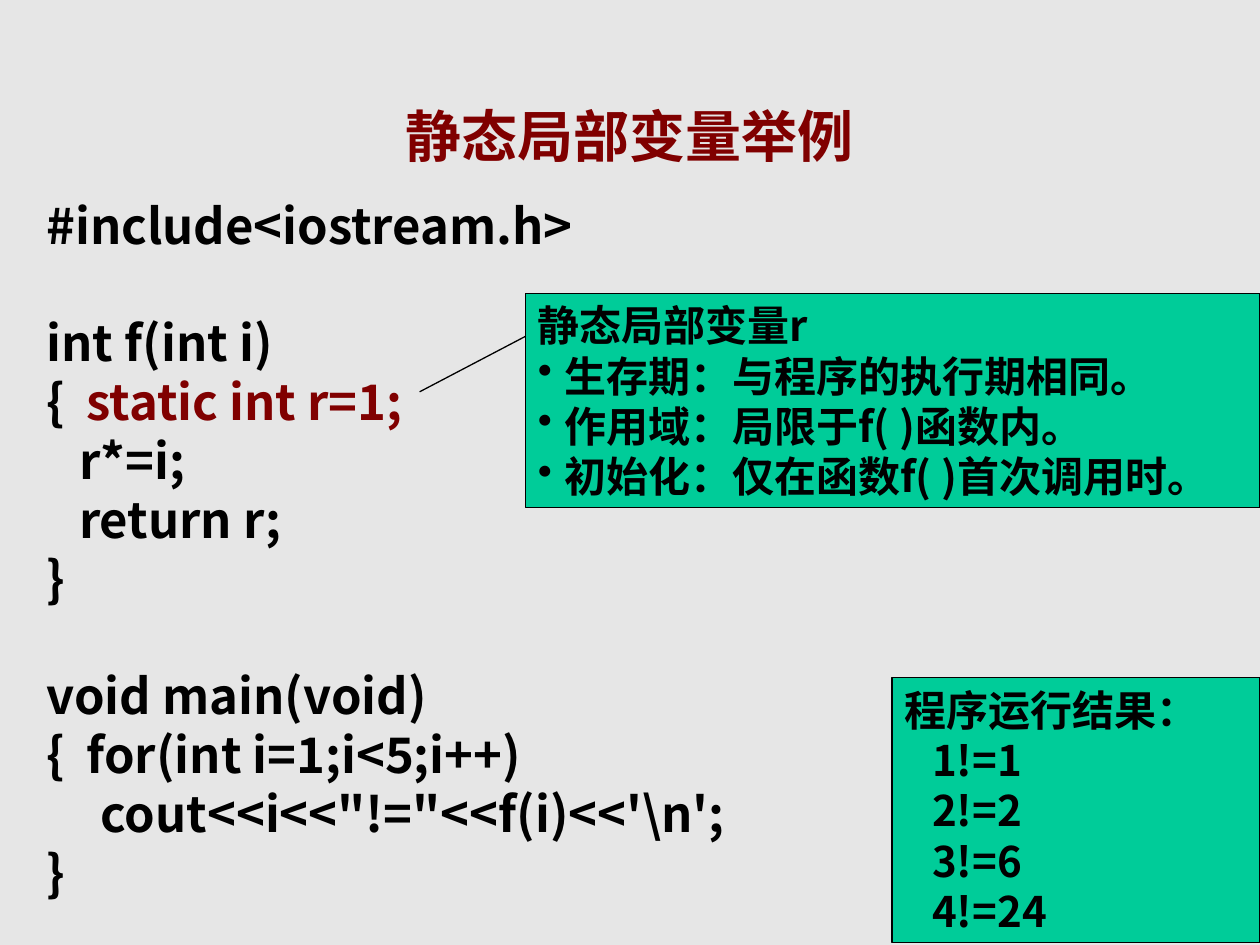
from dataclasses import dataclass

from lxml.etree import SubElement
from pptx import Presentation
from pptx.dml.color import RGBColor
from pptx.enum.shapes import MSO_CONNECTOR, MSO_SHAPE
from pptx.enum.text import MSO_ANCHOR, MSO_AUTO_SIZE, PP_ALIGN
from pptx.oxml.ns import qn
from pptx.util import Inches, Pt

FONT = "Noto Sans CJK SC"
BACKGROUND = RGBColor(0xE6, 0xE6, 0xE6)
GREEN = RGBColor(0x00, 0xCC, 0x99)
DARK_RED = RGBColor(0x80, 0x00, 0x00)
BLACK = RGBColor(0x00, 0x00, 0x00)

BASE, BODY, NESTED = 0.09, 0.35, 0.52  # code indents
AFTER_BRACE = 0.41
BLANK_LINE = 33.6


@dataclass(frozen=True)
class Line:
    text: str
    margin: float = 0
    hang: float = 0
    space_before: float = 0
    bullet: bool = False
    accent: str = ""


@dataclass(frozen=True)
class Panel:
    left: float
    top: float
    width: float
    height: float
    lines: tuple[Line, ...]


def code(text: str, margin: float = BASE, space_before: float = 0) -> Line:
    return Line(text, margin, space_before=space_before)


def after_brace(text: str = "", accent: str = "") -> Line:
    """Open a block: the tab after the brace leads to the hanging margin."""
    return Line("{\t" + text, AFTER_BRACE, AFTER_BRACE - BASE, accent=accent)


CODE = (
    code("#include<iostream.h>"),
    code("int f(int i)", space_before=BLANK_LINE),
    after_brace(accent="static int r=1;"),
    code("r*=i;", BODY),
    code("return r;", BODY),
    code("}"),
    code("void main(void)", space_before=BLANK_LINE),
    after_brace("for(int i=1;i<5;i++)"),
    code("cout<<i<<\"!=\"<<f(i)<<'\\n';", NESTED),
    code("}"),
)
RESULTS = ("1!=1", "2!=2", "3!=6", "4!=24")
FEATURES = (
    "生存期：与程序的执行期相同。",
    "作用域：局限于f( )函数内。",
    "初始化：仅在函数f( )首次调用时。",
)
PANELS = (
    Panel(7.08, 5.38, 2.92, 2.1,
          (Line("程序运行结果："), *(Line(text, 0.22) for text in RESULTS))),
    Panel(4.17, 2.33, 5.83, 1.7,
          (Line("静态局部变量r"),
           *(Line(text, 0.21, 0.21, bullet=True) for text in FEATURES))),
)


def add_run(paragraph, text: str, *, size: float, color: RGBColor = BLACK) -> None:
    run = paragraph.add_run()
    run.text = text
    font = run.font
    font.name, font.size, font.bold = FONT, Pt(size), True
    font.color.rgb = color
    SubElement(run._r.get_or_add_rPr(), qn("a:ea"), typeface=FONT)


def write_lines(frame, lines: tuple[Line, ...], *, size: float) -> None:
    frame.word_wrap = True
    frame.vertical_anchor = MSO_ANCHOR.TOP
    for index, line in enumerate(lines):
        paragraph = frame.add_paragraph() if index else frame.paragraphs[0]
        paragraph.alignment = PP_ALIGN.LEFT
        paragraph.space_before = Pt(line.space_before)
        properties = paragraph._p.get_or_add_pPr()
        properties.set("marL", str(Inches(line.margin)))
        properties.set("indent", str(Inches(-line.hang)))
        if line.bullet:
            SubElement(properties, qn("a:buChar"), char="•")
        if line.text:
            add_run(paragraph, line.text, size=size)
        if line.accent:
            add_run(paragraph, line.accent, size=size, color=DARK_RED)


def add_title(slide, text: str) -> None:
    title = slide.shapes.title
    title.left, title.top = Inches(0.08), Inches(0.49)
    title.width, title.height = Inches(9.83), Inches(0.9)
    frame = title.text_frame
    frame.vertical_anchor = MSO_ANCHOR.MIDDLE
    frame.auto_size = MSO_AUTO_SIZE.SHAPE_TO_FIT_TEXT
    paragraph = frame.paragraphs[0]
    paragraph.alignment = PP_ALIGN.CENTER
    paragraph.line_spacing = 1.5
    paragraph.space_before = Pt(20)
    add_run(paragraph, text, size=32, color=DARK_RED)


def add_panel(slide, panel: Panel) -> None:
    shape = slide.shapes.add_shape(
        MSO_SHAPE.RECTANGLE, Inches(panel.left), Inches(panel.top),
        Inches(panel.width), Inches(panel.height))
    shape.shadow.inherit = False
    shape.fill.solid()
    shape.fill.fore_color.rgb = GREEN
    shape.line.color.rgb = BLACK
    shape.line.width = Pt(0.75)
    write_lines(shape.text_frame, panel.lines, size=24)


def add_callout_line(slide) -> None:
    connector = slide.shapes.add_connector(
        MSO_CONNECTOR.STRAIGHT, Inches(4.17), Inches(2.67), Inches(3.33), Inches(3.11))
    connector.line.color.rgb = BLACK
    connector.line.width = Pt(0.75)
    SubElement(connector._element.spPr, qn("a:effectLst"))


def main() -> None:
    presentation = Presentation()
    presentation.slide_width, presentation.slide_height = Inches(10), Inches(7.5)
    slide = presentation.slides.add_slide(presentation.slide_layouts[5])
    slide.background.fill.solid()
    slide.background.fill.fore_color.rgb = BACKGROUND

    add_title(slide, "静态局部变量举例")
    code_box = slide.shapes.add_textbox(
        Inches(0.18), Inches(1.5), Inches(9.65), Inches(5.71))
    write_lines(code_box.text_frame, CODE, size=28)
    for panel in PANELS:
        add_panel(slide, panel)
    add_callout_line(slide)
    presentation.save("out.pptx")


if __name__ == "__main__":
    main()
